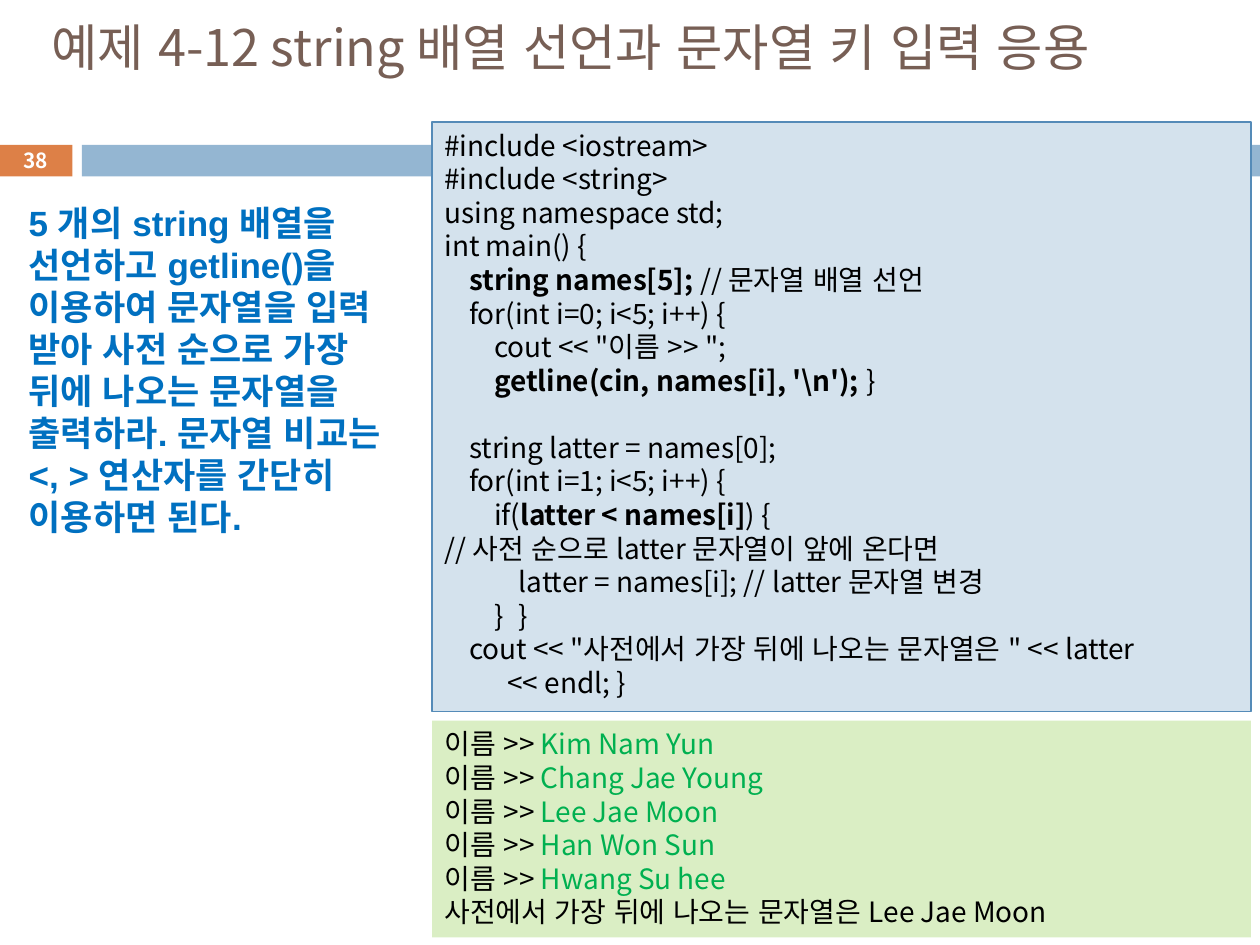
import pptx
import pptx.dml.color
import pptx.enum.lang
import pptx.enum.shapes
import pptx.enum.text
import pptx.oxml
import pptx.oxml.ns
import pptx.util
from pptx.util import Cm

COLORS = {
    "title": "775F55", "orange": "DD8047", "bar": "94B6D2", "white": "FFFFFF",
    "black": "000000", "blue": "0070C0", "green": "00B050",
    "code": "D4E2ED", "edge": "558BB8", "output": "DAEEC4",
}
FONT = "Noto Sans CJK KR"
TAB_WIDTH = 0.5
CODE_SIZE, CODE_LEADING = 16, 19.2
TITLE = "예제 4-12 string 배열 선언과 문자열 키 입력 응용"
TASK = ("5 개의 string 배열을 선언하고 getline()을 이용하여 문자열을 입력 받아 "
        "사전 순으로 가장 뒤에 나오는 문자열을 출력하라. 문자열 비교는 <, > 연산자를 "
        "간단히 이용하면 된다.")
CODE = [
    ["#include <iostream>"],
    ["#include <string>"],
    ["using namespace std;"],
    ["int main() {"],
    ["\t", "string names[5]; ", "// 문자열 배열 선언"],
    ["\tfor(int i=0; i<5; i++) {"],
    ["\t\tcout << \"이름 >> \";"],
    ["\t\t", "getline(cin, names[i], '\\n');", "\t}"],
    ["\tstring latter = names[0];"],
    ["\tfor(int i=1; i<5; i++) {"],
    ["\t\tif(", "latter < names[i]", ") {"],
    ["// 사전 순으로 latter 문자열이 앞에 온다면"],
    ["\t\t\tlatter = names[i]; // latter 문자열 변경"],
    ["\t\t} \t}"],
    ["\tcout << \"사전에서 가장 뒤에 나오는 문자열은 \" << latter"],
    ["<< endl; }"],
]
SECOND_PART = 8
NAMES = ["Kim Nam Yun", "Chang Jae Young", "Lee Jae Moon", "Han Won Sun", "Hwang Su hee"]


def color(name):
    """Return the named colour."""
    return pptx.dml.color.RGBColor.from_string(COLORS[name])


def add_panel(page, left, top, width, height, fill, edge=None):
    """Add a filled rectangle with top-aligned text."""
    panel = page.shapes.add_shape(
        pptx.enum.shapes.MSO_SHAPE.RECTANGLE, Cm(left), Cm(top), Cm(width), Cm(height))
    panel.shadow.inherit = False
    panel.fill.solid()
    panel.fill.fore_color.rgb = color(fill)
    if edge:
        panel.line.color.rgb = color(edge)
        panel.line.width = pptx.util.Pt(0.75)
    else:
        panel.line.fill.background()
    panel.text_frame.word_wrap = True
    panel.text_frame.vertical_anchor = pptx.enum.text.MSO_ANCHOR.TOP
    return panel


def add_span(para, text, size, shade, bold=False, font=FONT):
    """Add one formatted run."""
    span = para.add_run()
    span.text = text
    span.font.size = pptx.util.Pt(size)
    span.font.name = font
    span.font.bold = bold
    span.font.color.rgb = color(shade)
    span.font.language_id = pptx.enum.lang.MSO_LANGUAGE_ID.KOREAN
    east_asian = pptx.oxml.parse_xml(
        f'<a:ea {pptx.oxml.ns.nsdecls("a")} typeface="{FONT}"/>')
    span.font._element.find(pptx.oxml.ns.qn("a:latin")).addnext(east_asian)


def add_para(box, first, leading=None):
    """Return the first or a new left-aligned paragraph."""
    para = box.text_frame.paragraphs[0] if first else box.text_frame.add_paragraph()
    para.alignment = pptx.enum.text.PP_ALIGN.LEFT
    if leading:
        para.line_spacing = pptx.util.Pt(leading)
    return para


def add_label(page, left, top, width, height, text, size, shade,
              bold=False, font=FONT, leading=None, middle=True):
    """Add a text box with one paragraph and return that paragraph."""
    box = page.shapes.add_textbox(Cm(left), Cm(top), Cm(width), Cm(height))
    box.text_frame.word_wrap = True
    if middle:
        box.text_frame.vertical_anchor = pptx.enum.text.MSO_ANCHOR.MIDDLE
    para = add_para(box, True, leading)
    add_span(para, text, size, shade, bold, font)
    return para


def set_tabs(para):
    """Give a paragraph evenly spaced tab stops."""
    stops = "".join(f'<a:tab pos="{Cm(TAB_WIDTH * step)}" algn="l"/>'
                    for step in range(1, 25))
    para._p.get_or_add_pPr().append(pptx.oxml.parse_xml(
        f'<a:tabLst {pptx.oxml.ns.nsdecls("a")}>{stops}</a:tabLst>'))


def add_code(page):
    """Add the program listing, with every second run in bold."""
    box = add_panel(page, 8.71, 2.46, 16.51, 11.89, "code", "edge")
    for index, parts in enumerate(CODE):
        para = add_para(box, index == 0, CODE_LEADING)
        if index == SECOND_PART:
            para.space_before = pptx.util.Pt(CODE_LEADING)
        set_tabs(para)
        for place, text in enumerate(parts):
            add_span(para, text, CODE_SIZE, "black", bold=place % 2 == 1)
    para._p.get_or_add_pPr().set("marL", str(Cm(1.27)))


def add_output(page):
    """Add the program output with the typed names in green."""
    box = add_panel(page, 8.71, 14.53, 16.51, 4.37, "output")
    for index, name in enumerate(NAMES):
        para = add_para(box, index == 0, CODE_LEADING)
        add_span(para, "이름 >> ", CODE_SIZE, "black")
        add_span(para, name, CODE_SIZE, "green")
    add_span(add_para(box, False, CODE_LEADING),
             "사전에서 가장 뒤에 나오는 문자열은 Lee Jae Moon", CODE_SIZE, "black")


def main():
    """Build and save the slide."""
    deck = pptx.Presentation()
    deck.slide_width, deck.slide_height = Cm(25.4), Cm(19.05)
    page = deck.slides.add_slide(deck.slide_layouts[6])
    add_panel(page, 0, 2.92, 1.46, 0.64, "orange")
    add_panel(page, 1.65, 2.92, 23.75, 0.64, "bar")
    add_label(page, 0.79, 0, 23.65, 1.88, TITLE, 28.8, "title")
    number = add_label(page, -0.02, 2.88, 1.48, 0.69, "38", 11.9, "white", bold=True)
    number.alignment = pptx.enum.text.PP_ALIGN.CENTER
    add_output(page)
    add_code(page)
    add_label(page, 0.33, 3.94, 8.36, 7.09, TASK, 20, "blue", bold=True,
              font="Arial", leading=24, middle=False)
    deck.save("out.pptx")


if __name__ == "__main__":
    main()
